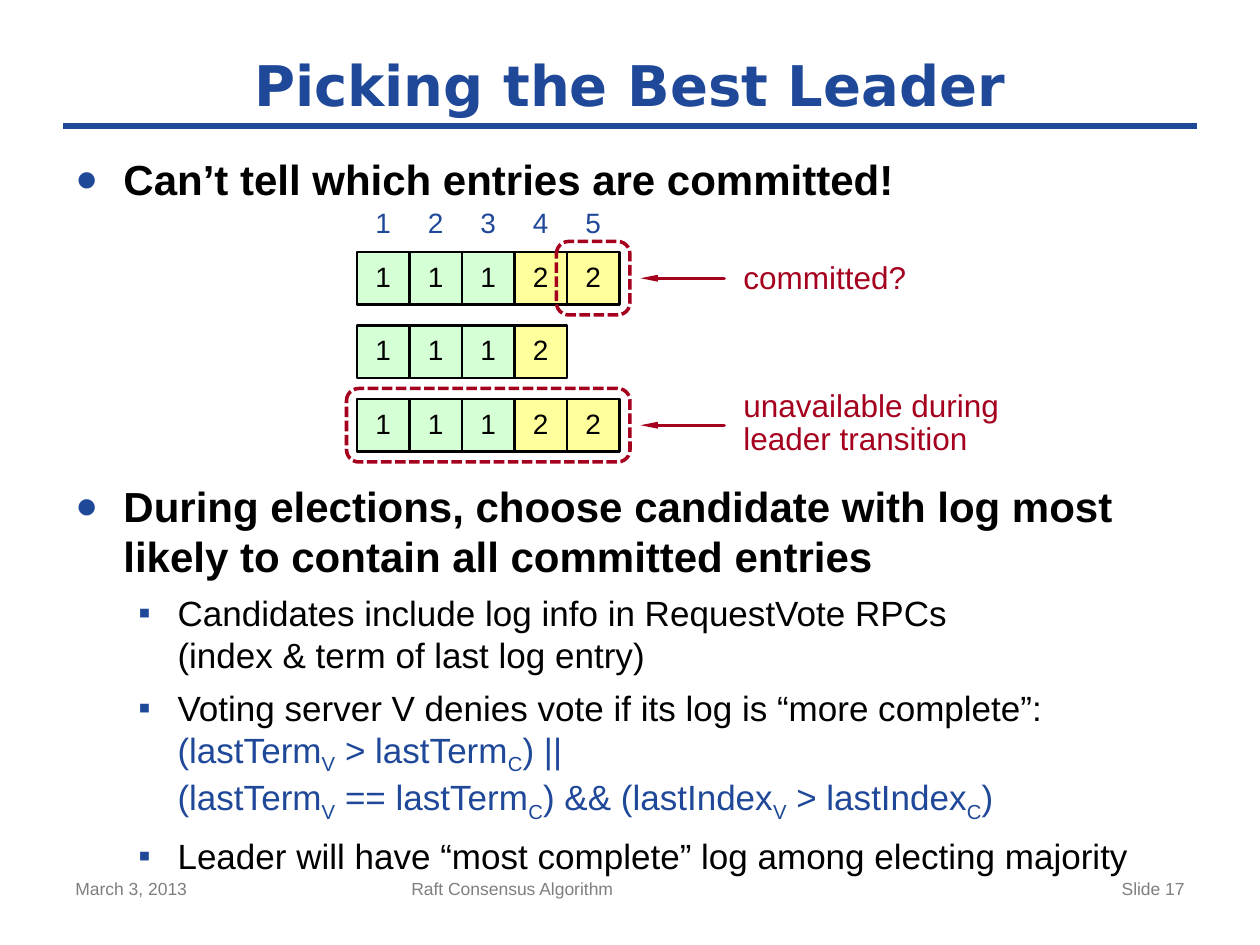
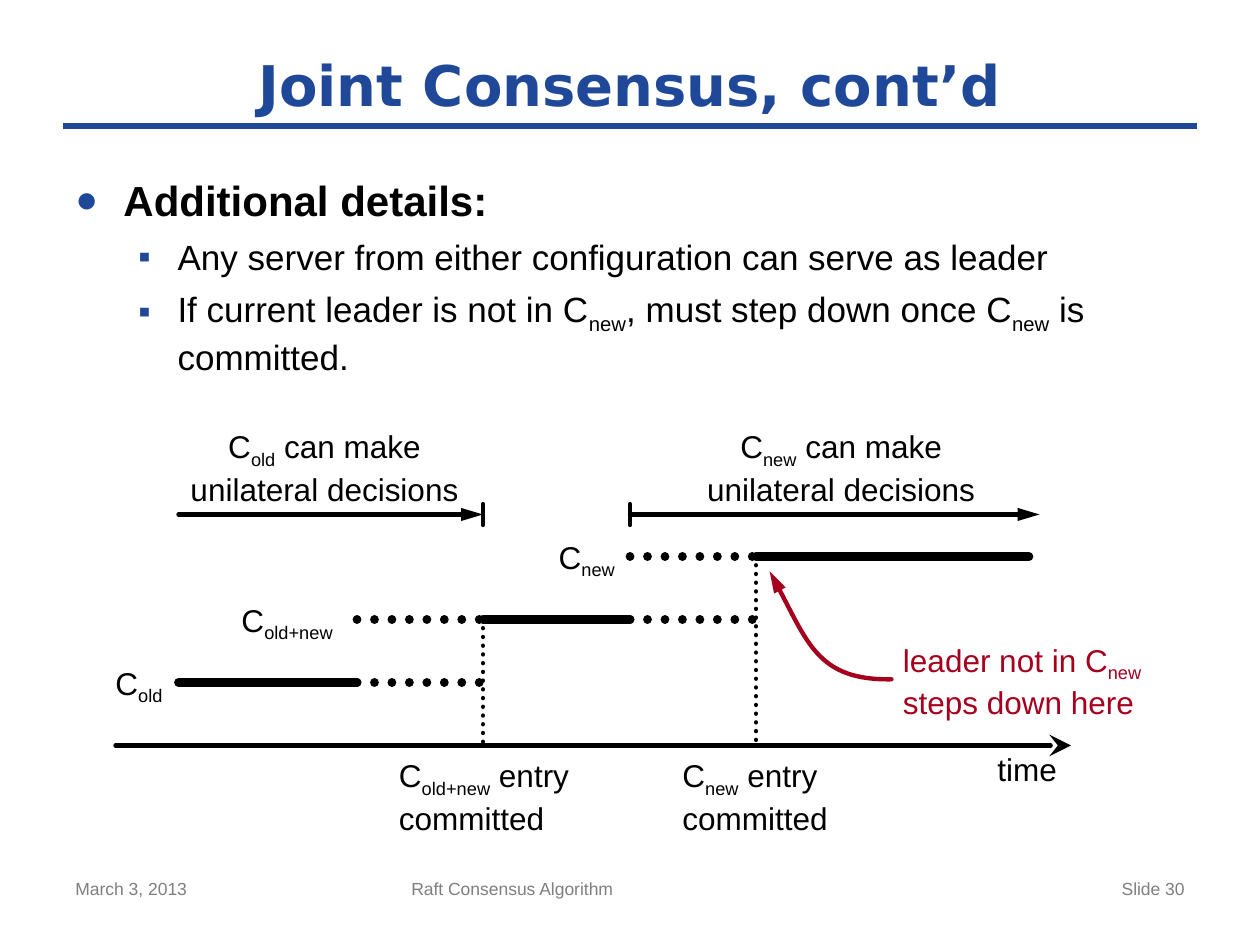
import dataclasses
import typing

import lxml.etree
import pptx
import pptx.dml.color
import pptx.enum.dml
import pptx.enum.shapes
import pptx.enum.text
import pptx.oxml.ns
import pptx.util

BLUE = pptx.dml.color.RGBColor(0x1F, 0x48, 0x99)
RED = pptx.dml.color.RGBColor(0xA5, 0x00, 0x1E)
BLACK = pptx.dml.color.RGBColor(0x00, 0x00, 0x00)
GRAY = pptx.dml.color.RGBColor(0x7F, 0x7F, 0x7F)
GREEN = pptx.dml.color.RGBColor(0xD5, 0xFF, 0xD5)
YELLOW = pptx.dml.color.RGBColor(0xFF, 0xFF, 0x9B)

LEFT = pptx.enum.text.PP_ALIGN.LEFT
CENTER = pptx.enum.text.PP_ALIGN.CENTER
RIGHT = pptx.enum.text.PP_ALIGN.RIGHT
TOP = pptx.enum.text.MSO_ANCHOR.TOP
MIDDLE = pptx.enum.text.MSO_ANCHOR.MIDDLE
DOTS = pptx.enum.dml.MSO_LINE.ROUND_DOT
DASHES = pptx.enum.dml.MSO_LINE.SQUARE_DOT
SHAPES = pptx.enum.shapes.MSO_SHAPE

CELL = 5
LOG_LEFT = 34
LOG_TOP = 24
LOG_STEP = 7


@dataclasses.dataclass(frozen=True)
class Box:
    left: float
    top: float
    width: float
    height: float


@dataclasses.dataclass(frozen=True)
class Head:
    kind: str
    width: str
    length: str


@dataclasses.dataclass(frozen=True)
class Stroke:
    start: tuple[float, float]
    end: tuple[float, float]
    width: float = 2.5
    color: pptx.dml.color.RGBColor = BLACK
    dash: typing.Any = None
    head: Head | None = None


@dataclasses.dataclass(frozen=True)
class Level:
    mark: str
    scale: int
    indent: float
    hang: float
    size: float
    bold: bool
    gap: float


@dataclasses.dataclass(frozen=True)
class Label:
    words: str
    box: Box
    align: typing.Any = LEFT
    color: pptx.dml.color.RGBColor = BLACK


POINT = Level("●", 90, 0.97, 0.97, 24, True, 12)
DETAIL = Level("▪", 100, 2.06, 0.79, 20, False, 6)
SLIM = Head("triangle", "sm", "lg")
ARROW = Head("triangle", "med", "lg")
STEALTH = Head("stealth", "lg", "lg")


def grid(count: float) -> pptx.util.Length:
    return pptx.util.Cm(count * 2.54 / 12)


def place(box: Box) -> tuple:
    return grid(box.left), grid(box.top), grid(box.width), grid(box.height)


def child(parent: typing.Any, tag: str, **values: str) -> typing.Any:
    return lxml.etree.SubElement(parent, pptx.oxml.ns.qn(tag), values)


def bullet(para: typing.Any, level: Level) -> None:
    props = para._p.get_or_add_pPr()
    props.set("marL", str(pptx.util.Cm(level.indent)))
    props.set("indent", str(-pptx.util.Cm(level.hang)))
    child(child(props, "a:buClr"), "a:srgbClr", val=str(BLUE))
    child(props, "a:buSzPct", val=str(level.scale * 1000))
    child(props, "a:buFont", typeface="Arial")
    child(props, "a:buChar", char=level.mark)


def write(para: typing.Any, words: str, size: float, bold: bool, font: str,
          color: pptx.dml.color.RGBColor) -> None:
    for tone, phrase in enumerate(words.split("`")):
        for drop, piece in enumerate(phrase.split("^")):
            for row, part in enumerate(piece.split("\n")):
                if row:
                    para.add_line_break()
                if not part:
                    continue
                run = para.add_run()
                run.text = part
                run.font.name = font
                run.font.size = pptx.util.Pt(size)
                run.font.bold = bold
                run.font.color.rgb = BLUE if tone % 2 else color
                if drop % 2:
                    run.font._element.set("baseline", "-25000")


def text(slide: typing.Any, box: Box, *lines: str | tuple[Level, str],
         shape: typing.Any = None, size: float = 18, bold: bool = False,
         font: str = "Arial", color: pptx.dml.color.RGBColor = BLACK,
         align: typing.Any = LEFT, anchor: typing.Any = TOP,
         inset: bool = True, wrap: bool = True,
         pitch: float | None = None) -> None:
    holder = shape or slide.shapes.add_textbox(*place(box))
    frame = holder.text_frame
    frame.word_wrap = wrap
    frame.vertical_anchor = anchor
    if not inset:
        frame.margin_left = frame.margin_right = 0
        frame.margin_top = frame.margin_bottom = 0
    for order, line in enumerate(lines):
        para = frame.add_paragraph() if order else frame.paragraphs[0]
        para.alignment = align
        if pitch:
            para.line_spacing = pptx.util.Pt(pitch)
        if isinstance(line, str):
            write(para, line, size, bold, font, color)
            continue
        level, words = line
        if order:
            para.space_before = pptx.util.Pt(level.gap)
        bullet(para, level)
        write(para, words, level.size, level.bold, font, color)


def pen(line: typing.Any, color: pptx.dml.color.RGBColor, width: float,
        dash: typing.Any = None, head: Head | None = None) -> None:
    line.color.rgb = color
    line.width = pptx.util.Pt(width)
    if dash is not None:
        line.dash_style = dash
    if head:
        child(line._get_or_add_ln(), "a:tailEnd",
              type=head.kind, w=head.width, len=head.length)


def draw(slide: typing.Any, stroke: Stroke, cap: str = "rnd") -> None:
    ends = [grid(value) for value in stroke.start + stroke.end]
    link = slide.shapes.add_connector(
        pptx.enum.shapes.MSO_CONNECTOR.STRAIGHT, *ends)
    pen(link.line, stroke.color, stroke.width, stroke.dash, stroke.head)
    link.line._get_or_add_ln().set("cap", cap)
    child(link._element.spPr, "a:effectLst")


def block(slide: typing.Any, box: Box, kind: typing.Any,
          fill: pptx.dml.color.RGBColor | None = None) -> typing.Any:
    shape = slide.shapes.add_shape(kind, *place(box))
    shape.shadow.inherit = False
    if fill is None:
        shape.fill.background()
    else:
        shape.fill.solid()
        shape.fill.fore_color.rgb = fill
    return shape


def curve(slide: typing.Any, points: list[tuple[float, float]]) -> None:
    spots = [(grid(x), grid(y)) for x, y in points]
    maker = slide.shapes.build_freeform(*spots[0])
    maker.add_line_segments(spots[1:], close=False)
    shape = maker.convert_to_shape()
    shape.shadow.inherit = False
    shape.fill.background()
    pen(shape.line, RED, 2.5, head=ARROW)
    shape.line._get_or_add_ln().set("cap", "rnd")
    route = next(shape._element.iter(pptx.oxml.ns.qn("a:path")))
    legs = route.findall(pptx.oxml.ns.qn("a:lnTo"))
    bend = child(route, "a:cubicBezTo")
    for leg in legs:
        bend.append(leg[0])
        route.remove(leg)


def start(deck: typing.Any, title: str, number: int) -> typing.Any:
    slide = deck.slides.add_slide(deck.slide_layouts[6])
    draw(slide, Stroke((6, 12), (114, 12), 4, BLUE), cap="flat")
    text(slide, Box(6, 4, 108, 8), title, size=32, bold=True,
         font="DejaVu Sans", color=BLUE, align=CENTER, anchor=MIDDLE)
    for words, left, width, align in (
            ("March 3, 2013", 6, 28, LEFT),
            ("Raft Consensus Algorithm", 38, 45, LEFT),
            (f"Slide {number}", 86, 28, RIGHT)):
        text(slide, Box(left, 83, width, 5.2), words, size=10,
             color=GRAY, align=align)
    return slide


def leader(deck: typing.Any) -> None:
    slide = start(deck, "Picking the Best Leader", 17)
    text(slide, Box(6, 14, 108, 6),
         (POINT, "Can’t tell which entries are committed!"))
    text(slide, Box(6, 45.15, 108, 35.2),
         (POINT, "During elections, choose candidate with log most "
                 "likely to contain all committed entries"),
         (DETAIL, "Candidates include log info in RequestVote RPCs\n"
                  "(index & term of last log entry)"),
         (DETAIL, "Voting server V denies vote if its log is “more complete”:\n"
                  "`(lastTerm^V^ > lastTerm^C^) ||\n"
                  "(lastTerm^V^ == lastTerm^C^) && "
                  "(lastIndex^V^ > lastIndex^C^)`"),
         (DETAIL, "Leader will have “most complete” log "
                  "among electing majority"))
    for col in range(5):
        text(slide, Box(LOG_LEFT + col * CELL, 19, CELL, 4.4), str(col + 1),
             size=16, color=BLUE, align=CENTER)
    for row, terms in enumerate(("11122", "1112", "11122")):
        for col, term in enumerate(terms):
            box = Box(LOG_LEFT + col * CELL, LOG_TOP + row * LOG_STEP,
                      CELL, CELL)
            cell = block(slide, box, SHAPES.RECTANGLE,
                         GREEN if term == "1" else YELLOW)
            pen(cell.line, BLACK, 1.5)
            text(slide, box, term, shape=cell, size=16, align=CENTER,
                 anchor=MIDDLE, inset=False, pitch=17)
    for frame, note, words in (
            (Box(53, 23, 7, 7), Box(70.8, 25, 24, 3.2), "committed?"),
            (Box(33, 37, 27, 7), Box(70.8, 37.2, 33.2, 6.4),
             "unavailable during leader transition")):
        ring = block(slide, frame, SHAPES.ROUNDED_RECTANGLE)
        pen(ring.line, RED, 2, DASHES)
        mid = frame.top + frame.height / 2
        draw(slide, Stroke((69, mid), (61, mid), 1.5, RED, head=SLIM))
        text(slide, note, words, color=RED, inset=False, pitch=19)


def joint(deck: typing.Any) -> None:
    slide = start(deck, "Joint Consensus, cont’d", 30)
    text(slide, Box(6, 16, 108, 64.4),
         (POINT, "Additional details:"),
         (DETAIL, "Any server from either configuration can serve as leader"),
         (DETAIL, "If current leader is not in C^new^, must step down "
                  "once C^new^ is committed."))
    strokes = [
        Stroke((11, 71), (102, 71), head=STEALTH),
        Stroke((17, 49), (46, 49), head=ARROW),
        Stroke((60, 49), (99, 49), head=ARROW),
    ]
    strokes += [Stroke((x, 48), (x, 50)) for x in (46, 60)]
    strokes += [Stroke((x, y), (x, 71), dash=DOTS)
                for x, y in ((46, 59), (72, 53))]
    strokes += [Stroke((x, y), (end, y), 5)
                for x, end, y in ((17, 34, 65), (46, 60, 59), (72, 98, 53))]
    strokes += [Stroke((x, y), (x + 12, y), 5, dash=DOTS)
                for x, y in ((34, 65), (34, 59), (60, 59), (60, 53))]
    for stroke in strokes:
        draw(slide, stroke)
    curve(slide, [(84.9, 64.7), (78.1, 64.8), (76.7, 60.7), (73.3, 54.4)])
    labels = [
        Label("time", Box(95, 71.4, 5.8, 3.6)),
        Label("C^old+new^ entry\ncommitted", Box(38, 72, 17.3, 7.3)),
        Label("C^new^ entry\ncommitted", Box(65, 72, 13.9, 7.3)),
        Label("C^old^", Box(11, 63.2, 4.8, 3.6)),
        Label("C^old+new^", Box(23, 57.2, 9.7, 3.6)),
        Label("C^new^", Box(53.2, 51.2, 5.9, 3.6)),
        Label("leader not in C^new^\nsteps down here",
              Box(86, 61, 23.4, 7.3), color=RED),
    ]
    labels += [Label(f"C^{name}^ can make\nunilateral decisions",
                     Box(left, 40.7, 25.8, 7.3), CENTER)
               for name, left in (("old", 18), ("new", 67.2))]
    for label in labels:
        text(slide, label.box, label.words, color=label.color,
             align=label.align, inset=False, wrap=False)


def main() -> None:
    deck = pptx.Presentation()
    deck.slide_width = grid(120)
    deck.slide_height = grid(90)
    leader(deck)
    joint(deck)
    deck.save("out.pptx")


if __name__ == "__main__":
    main()
